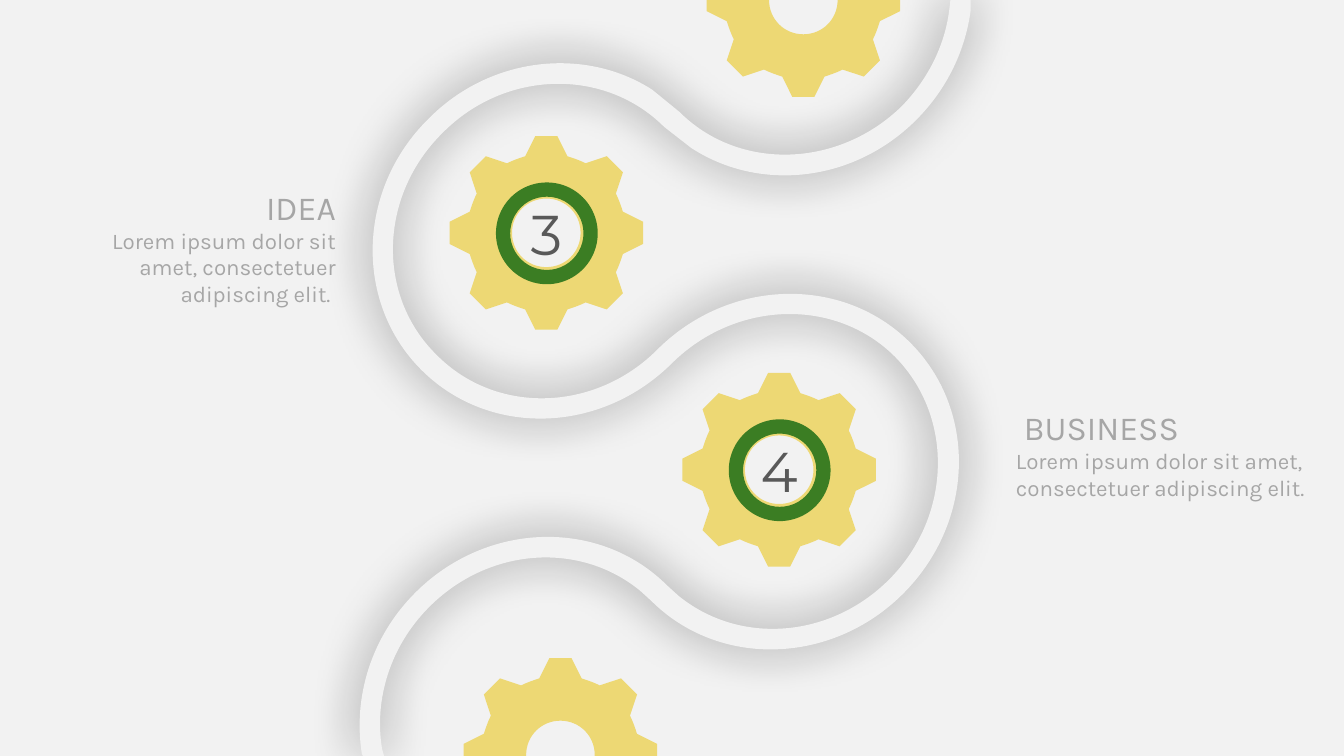
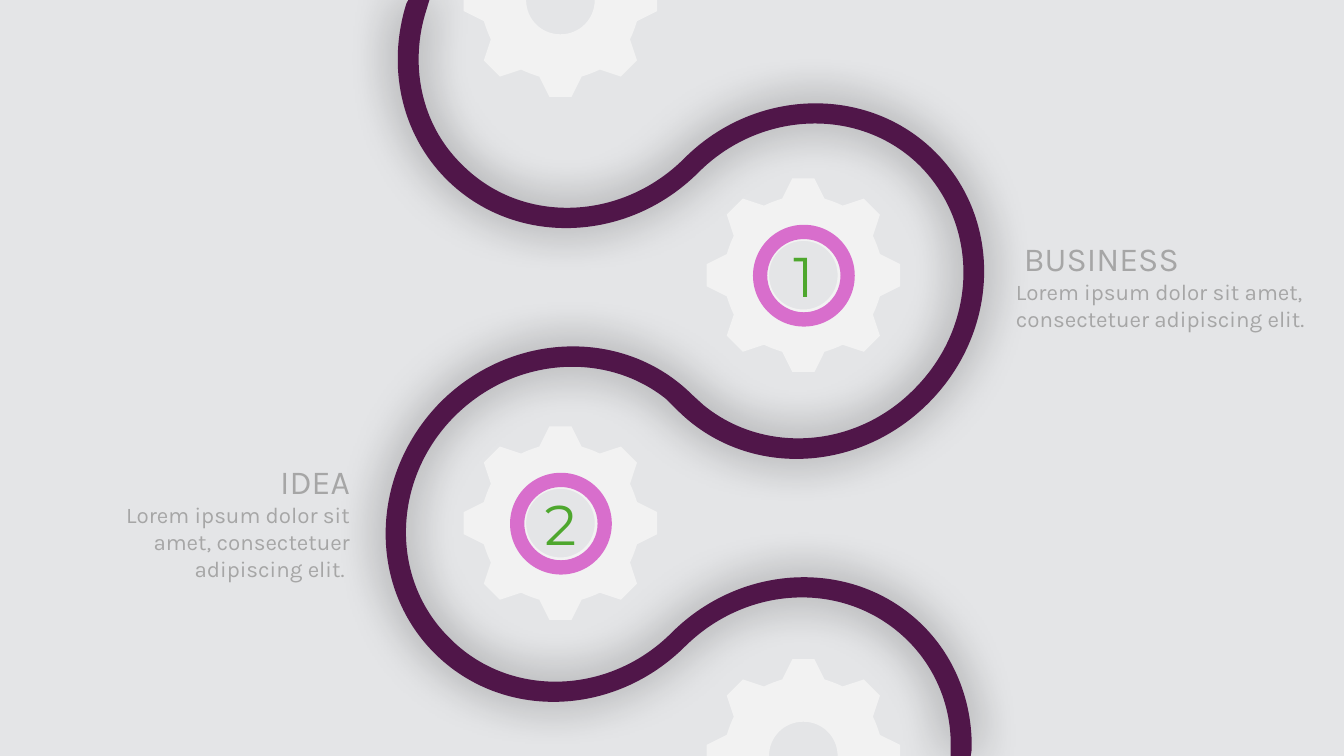
from math import sqrt

from lxml import etree
from pptx import Presentation
from pptx import util as u
from pptx.dml.color import RGBColor
from pptx.enum import shapes, text
from pptx.oxml.ns import qn

PX = 9144  # one px is a hundredth of an inch
PALE = RGBColor(0xF2, 0xF2, 0xF2)
MIST = RGBColor(0xE4, 0xE5, 0xE7)
SAND = RGBColor(0xED, 0xD8, 0x74)
GREEN = RGBColor(0x3B, 0x7D, 0x23)
LEAF = RGBColor(0x4E, 0xA7, 0x2E)
PLUM = RGBColor(0x50, 0x16, 0x49)
ORCHID = RGBColor(0xD8, 0x6E, 0xCC)
GREY = RGBColor(0xA6, 0xA6, 0xA6)
CHARCOAL = RGBColor(0x59, 0x59, 0x59)

# Outlines: a pair is a corner, six numbers are a Bezier curve.
LOWER_RIBBON = [
    (943, -1), (963, -1), (963, 10),
    (958, 49, 940, 88, 909, 119), (847, 181, 754, 191, 686, 147),
    (659, 126),
    (600, 67, 501, 69, 439, 132), (376, 194, 373, 293, 433, 352),
    (492, 412, 591, 409, 653, 346), (724, 276, 836, 273, 903, 340),
    (970, 407, 967, 518, 896, 589), (825, 660, 713, 663, 646, 596),
    (635, 586),
    (575, 537, 485, 543, 426, 602), (387, 641, 371, 694, 379, 743),
    (381, 750), (360, 750), (359, 748),
    (350, 692, 368, 632, 412, 588), (483, 517, 595, 514, 662, 581),
    (673, 591),
    (733, 640, 823, 634, 882, 575), (944, 513, 947, 414, 888, 354),
    (829, 295, 730, 298, 667, 360), (596, 431, 485, 434, 418, 367),
    (351, 300, 354, 188, 425, 118), (486, 56, 580, 46, 647, 89),
    (674, 111),
    (733, 170, 832, 167, 895, 105), (922, 77, 938, 43, 942, 8),
]
UPPER_RIBBON = [
    (405, 0), (426, 0), (423, 10),
    (406, 63, 417, 123, 458, 163), (517, 223, 616, 220, 679, 157),
    (749, 87, 861, 84, 928, 151), (995, 218, 992, 329, 921, 400),
    (850, 471, 739, 474, 672, 407),
    (661, 396),
    (601, 348, 510, 354, 451, 413), (389, 475, 386, 574, 446, 633),
    (505, 693, 604, 690, 666, 628), (737, 557, 849, 554, 916, 621),
    (949, 654, 965, 699, 964, 744),
    (963, 750), (943, 750), (943, 745),
    (945, 705, 930, 665, 901, 636), (841, 576, 743, 579, 680, 641),
    (609, 712, 498, 715, 431, 648), (364, 581, 367, 470, 437, 399),
    (508, 328, 620, 325, 687, 392),
    (698, 402),
    (758, 451, 849, 445, 907, 386), (970, 323, 972, 225, 913, 165),
    (854, 106, 755, 109, 693, 171), (622, 242, 510, 245, 443, 178),
    (397, 132, 384, 65, 403, 4),
]

# A gear is a quarter turn of rim and hole, repeated about its centre.
RIM_QUARTER = [(11, -96), (21, -76), (27, -74, 33, -72, 39, -69), (60, -76),
               (76, -60), (69, -39), (72, -33, 74, -27, 76, -21), (96, -11)]
HOLE_QUARTER = [(19, -34, 34, -19, 34, 0)]
GEAR = []
for start, quarter in (([], RIM_QUARTER), ([(0, -34)], HOLE_QUARTER)):
    contour = start + quarter
    for turn in range(3):
        quarter = [tuple(v for i in range(0, len(piece), 2)
                         for v in (-piece[i + 1], piece[i])) for piece in quarter]
        contour += quarter
    GEAR.append(contour)

LOREM = "Lorem ipsum dolor sit amet, consectetuer adipiscing elit."
IDEA = ("IDEA", LOREM + " ", text.PP_ALIGN.RIGHT, 294)
BUSINESS = (" BUSINESS", LOREM, text.PP_ALIGN.LEFT, 335)

PAGES = [
    dict(panel=None, ribbon=LOWER_RIBBON, ribbon_frame=(317, -116, 667, 958),
         ribbon_fill=PALE, gear_fill=SAND, ring_fill=GREEN, digit_color=CHARCOAL,
         steps=[(773, 466, "4"), (542, 231, "3")], edge_gears=[(556, 749), (797, 0)],
         captions=[(49, 180, IDEA), (998, 399, BUSINESS)]),
    dict(panel=MIST, ribbon=UPPER_RIBBON, ribbon_frame=(207, 38, 925, 704),
         ribbon_fill=PLUM, gear_fill=PALE, ring_fill=ORCHID, digit_color=LEAF,
         steps=[(556, 519, "2"), (797, 273, "1")], edge_gears=[(556, 0), (797, 750)],
         captions=[(63, 452, IDEA), (998, 231, BUSINESS)]),
]


def add_outline(page, frame, contours, center, color, slope=0):
    """Fill contours drawn about center, inside frame; slope is the sine of its turn."""
    left, top, width, height = frame
    builder = page.shapes.build_freeform(left, top, scale=PX)
    builder.add_line_segments([(left + width, top), (left + width, top + height),
                               (left, top + height)])
    shape = builder.convert_to_shape()
    outline = next(shape.element.iter(qn("a:path")))
    outline.set("w", str(width * PX))
    outline.set("h", str(height * PX))
    for child in list(outline):
        outline.remove(child)
    level = sqrt(1 - slope * slope)
    for contour in contours:
        for order, piece in enumerate(contour):
            tag = "a:cubicBezTo" if len(piece) == 6 else "a:lnTo"
            node = etree.SubElement(outline, qn(tag if order else "a:moveTo"))
            for i in range(0, len(piece), 2):
                dx, dy = piece[i] - center[0], piece[i + 1] - center[1]
                x = width / 2 + dx * level + dy * slope
                y = height / 2 - dx * slope + dy * level
                etree.SubElement(node, qn("a:pt"), x=str(round(x * PX)),
                                 y=str(round(y * PX)))
        etree.SubElement(outline, qn("a:close"))
    shape.shadow.inherit = False
    shape.fill.solid()
    shape.fill.fore_color.rgb = color
    shape.line.fill.background()
    return shape


def add_text(page, left, top, width, height, lines, align):
    """Add a text box; each line is its wording and a dict of font values."""
    box = page.shapes.add_textbox(*(v * PX for v in (left, top, width, height)))
    frame = box.text_frame
    frame.word_wrap = True
    frame.auto_size = text.MSO_AUTO_SIZE.SHAPE_TO_FIT_TEXT
    for i, (wording, color, values) in enumerate(lines):
        para = frame.add_paragraph() if i else frame.paragraphs[0]
        para.alignment = align
        span = para.add_run()
        span.text = wording
        span.font.color.rgb = color
        for name, value in values.items():
            setattr(span.font, name, value)


deck = Presentation()
deck.slide_width, deck.slide_height = u.Emu(12192000), u.Inches(7.5)
master_fill = deck.slide_master.background.fill
master_fill.solid()
master_fill.fore_color.rgb = PALE

for look in PAGES:
    page = deck.slides.add_slide(deck.slide_layouts[6])
    plain = []
    if look["panel"]:
        panel = page.shapes.add_shape(shapes.MSO_SHAPE.RECTANGLE, 0, 0,
                                      deck.slide_width, deck.slide_height)
        plain.append((panel, look["panel"]))

    left, top, width, height = look["ribbon_frame"]
    ribbon = add_outline(page, look["ribbon_frame"], [look["ribbon"]],
                         (left + width / 2, top + height / 2),
                         look["ribbon_fill"], sqrt(0.5))
    ribbon.rotation = 45
    effects = ribbon.element.spPr.find(qn("a:effectLst"))
    glow = etree.SubElement(effects, qn("a:outerShdw"), blurRad=str(u.Pt(35)),
                            dist="0", algn="ctr", rotWithShape="0")
    black = etree.SubElement(glow, qn("a:srgbClr"), val="000000")
    etree.SubElement(black, qn("a:alpha"), val="40000")

    centers = [step[:2] for step in look["steps"]]
    for x, y in centers + look["edge_gears"]:
        add_outline(page, (x - 96, y - 96, 192, 192), GEAR, (0, 0), look["gear_fill"])

    for x, y in centers:
        ring = page.shapes.add_shape(shapes.MSO_SHAPE.DONUT, (x - 50) * PX,
                                     (y - 50) * PX, 101 * PX, 101 * PX)
        ring.adjustments[0] = 0.14
        plain.append((ring, look["ring_fill"]))
    for shape, color in plain:
        shape.shadow.inherit = False
        shape.fill.solid()
        shape.fill.fore_color.rgb = color
        shape.line.fill.background()

    for left, top, (heading, body, align, width) in look["captions"]:
        add_text(page, left, top, width, 135,
                 [(heading, GREY, dict(name="Karla", size=u.Pt(24))),
                  (body, GREY, dict(name="Karla", size=u.Pt(16)))], align)
    for x, y, digit in look["steps"]:
        add_text(page, x - 44, y - 38, 88, 77,
                 [(digit, look["digit_color"], dict(name="Montserrat", size=u.Pt(40)))],
                 text.PP_ALIGN.CENTER)

deck.save("out.pptx")
